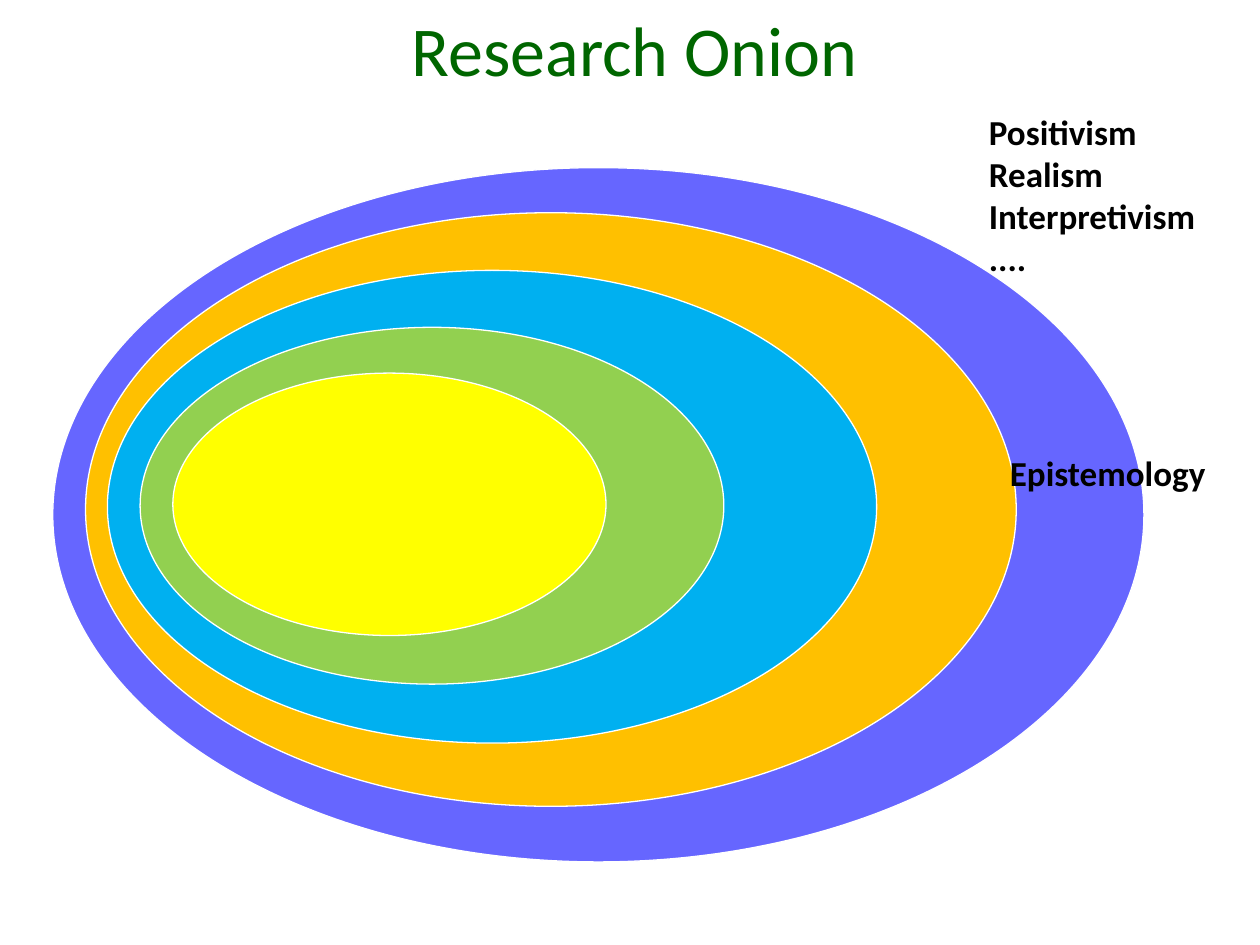
from dataclasses import dataclass
from pptx import Presentation
from pptx.dml.color import RGBColor as Rgb
from pptx.enum.shapes import MSO_SHAPE as Kind
from pptx.enum.text import MSO_ANCHOR as Anchor, MSO_AUTO_SIZE as Fit, PP_ALIGN as Align
from pptx.util import Pt


@dataclass(frozen=True)
class Theme:
    font: str = "Calibri"
    head: int = 40
    note: int = 20
    green: str = "006600"
    black: str = "000000"
    edge: str = "FFFFFF"
    rings: tuple = ("6666FF", "FFC000", "00B0F0", "92D050", "FFFF00")


@dataclass(frozen=True)
class Box:
    x: float
    y: float
    w: float
    h: float

    def place(self, part):
        part.left, part.top = Pt(self.x), Pt(self.y)
        part.width, part.height = Pt(self.w), Pt(self.h)


THEME = Theme()
RINGS = (
    (0, 0, 1, 1),
    (0.03, 0.065, 0.853, 0.855),
    (0.05, 0.148, 0.705, 0.681),
    (0.08, 0.23, 0.535, 0.514),
    (0.11, 0.296, 0.397, 0.378),
)


def style(frame, size, color, bold):
    for para in frame.paragraphs:
        para.alignment = Align.LEFT
        for run in para.runs:
            font = run.font
            font.name, font.size, font.bold = THEME.font, Pt(size), bold
            font.color.rgb = Rgb.from_string(color)


def add_title(slide, box, text):
    title = slide.shapes.title
    box.place(title)
    frame = title.text_frame
    frame.text = text
    frame.word_wrap = True
    frame.auto_size = Fit.NONE
    frame.vertical_anchor = Anchor.TOP
    style(frame, THEME.head, THEME.green, False)


def add_onion(slide, box):
    group = slide.shapes.add_group_shape()
    for (x, y, w, h), color in zip(RINGS, THEME.rings):
        ring = group.shapes.add_shape(
            Kind.OVAL,
            Pt(box.x + x * box.w), Pt(box.y + y * box.h),
            Pt(w * box.w), Pt(h * box.h),
        )
        ring.shadow.inherit = False
        ring.fill.solid()
        ring.fill.fore_color.rgb = Rgb.from_string(color)
        ring.line.color.rgb = Rgb.from_string(THEME.edge)
        ring.line.width = Pt(0.75)


def add_note(slide, box, text):
    note = slide.shapes.add_textbox(0, 0, 0, 0)
    frame = note.text_frame
    frame.text = text
    frame.word_wrap = True
    frame.auto_size = Fit.SHAPE_TO_FIT_TEXT
    style(frame, THEME.note, THEME.black, True)
    box.place(note)


def main():
    deck = Presentation()
    deck.slide_width, deck.slide_height = Pt(720), Pt(540)
    slide = deck.slides.add_slide(deck.slide_layouts[5])
    add_onion(slide, Box(30.2, 95.8, 623.5, 396.7))
    add_note(slide, Box(570, 254.2, 156, 31.5), "Epistemology")
    add_note(slide, Box(558, 59.8, 162, 104.4), "Positivism\nRealism\nInterpretivism\n....")
    add_title(slide, Box(228.2, 0, 288, 55.7), "Research Onion")
    deck.save("out.pptx")


if __name__ == "__main__":
    main()
